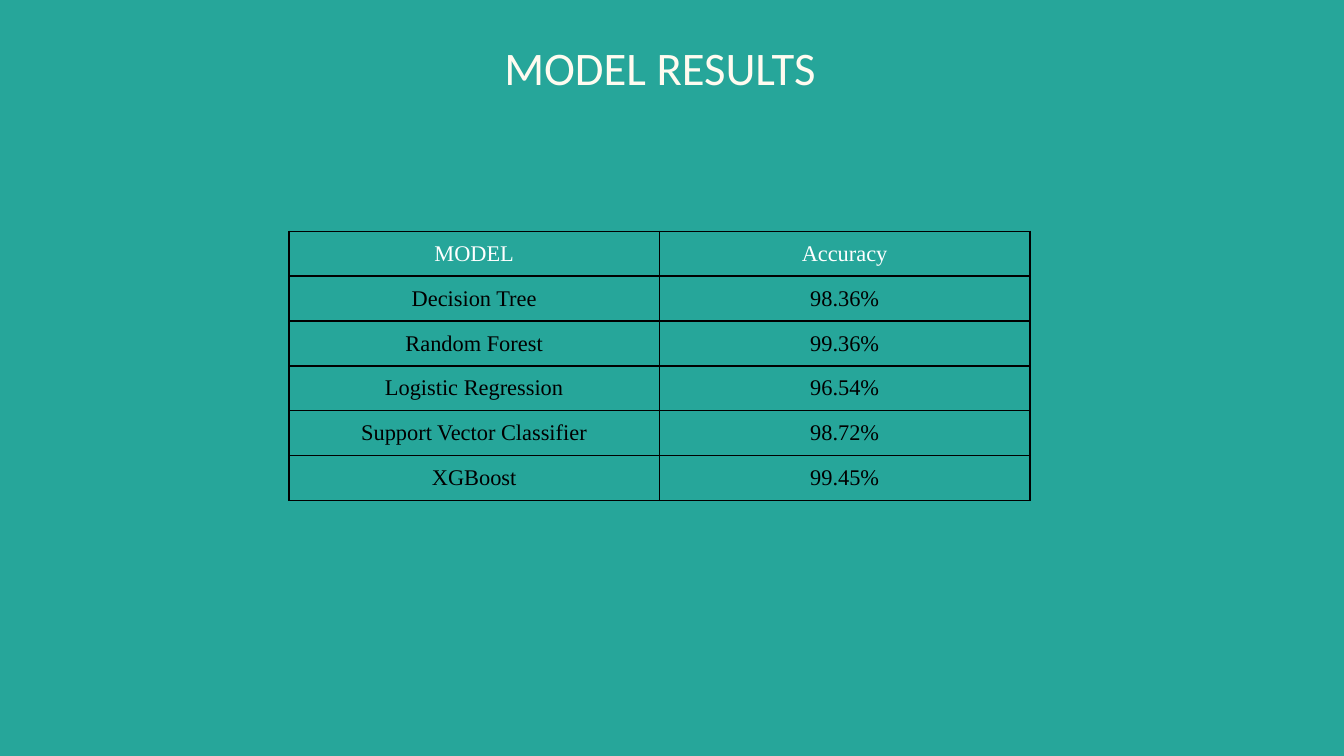
from lxml.etree import SubElement
from pptx import Presentation
from pptx.dml.color import RGBColor
from pptx.enum.text import MSO_ANCHOR as Anchor, PP_ALIGN as Align
from pptx.oxml.ns import qn
from pptx.util import Pt

BACKGROUND = "26A69A"
CREAM = "FFFBF0"
WHITE = "FFFFFF"
BLACK = "000000"
ROW_HEIGHT = 23.4
COLUMN_WIDTH = 198.5
RESULTS = [
    ("MODEL", "Accuracy"),
    ("Decision Tree", "98.36%"),
    ("Random Forest", "99.36%"),
    ("Logistic Regression", "96.54%"),
    ("Support Vector Classifier", "98.72%"),
    ("XGBoost", "99.45%"),
]


def color(value):
    return RGBColor.from_string(value)


def set_margins(target, margin):
    target.margin_left = target.margin_right = Pt(margin)
    target.margin_top = target.margin_bottom = Pt(margin)


def write_text(text_frame, text, font_name, size, font_color):
    text_frame.text = text
    paragraph = text_frame.paragraphs[0]
    paragraph.alignment = Align.CENTER
    font = paragraph.runs[0].font
    font.name = font_name
    font.size = Pt(size)
    font.color.rgb = color(font_color)


def add_title(slide, text):
    shape = slide.shapes.add_textbox(Pt(34), Pt(16), Pt(639), Pt(40))
    text_frame = shape.text_frame
    text_frame.word_wrap = True
    text_frame.vertical_anchor = Anchor.MIDDLE
    set_margins(text_frame, 7.2)
    write_text(text_frame, text, "Calibri", 25, CREAM)


def set_borders(cell, border_color, width):
    properties = cell._tc.get_or_add_tcPr()
    for index, side in enumerate(("lnL", "lnR", "lnT", "lnB")):
        line = properties.makeelement(qn(f"a:{side}"), {"w": str(Pt(width))})
        fill = SubElement(line, qn("a:solidFill"))
        SubElement(fill, qn("a:srgbClr"), val=border_color)
        properties.insert(index, line)


def format_cell(cell, text, font_color):
    cell.fill.background()
    cell.vertical_anchor = Anchor.MIDDLE
    set_margins(cell, 4.8)
    write_text(cell.text_frame, text, "Times New Roman", 12, font_color)
    set_borders(cell, BLACK, 1)


def add_results_table(slide, results):
    row_count, column_count = len(results), len(results[0])
    frame = slide.shapes.add_table(
        row_count, column_count, Pt(154.8), Pt(124),
        Pt(COLUMN_WIDTH * column_count), Pt(ROW_HEIGHT * row_count))
    table = frame.table
    table.horz_banding = False
    for column in table.columns:
        column.width = Pt(COLUMN_WIDTH)
    for row_index, values in enumerate(results):
        table.rows[row_index].height = Pt(ROW_HEIGHT)
        font_color = WHITE if row_index == 0 else BLACK
        for column_index, value in enumerate(values):
            format_cell(table.cell(row_index, column_index), value, font_color)
    table.first_row = False


def main():
    presentation = Presentation()
    presentation.slide_width = Pt(720)
    presentation.slide_height = Pt(405)
    slide = presentation.slides.add_slide(presentation.slide_layouts[6])
    background = slide.background.fill
    background.solid()
    background.fore_color.rgb = color(BACKGROUND)
    add_title(slide, "MODEL RESULTS")
    add_results_table(slide, RESULTS)
    presentation.save("out.pptx")


if __name__ == "__main__":
    main()
